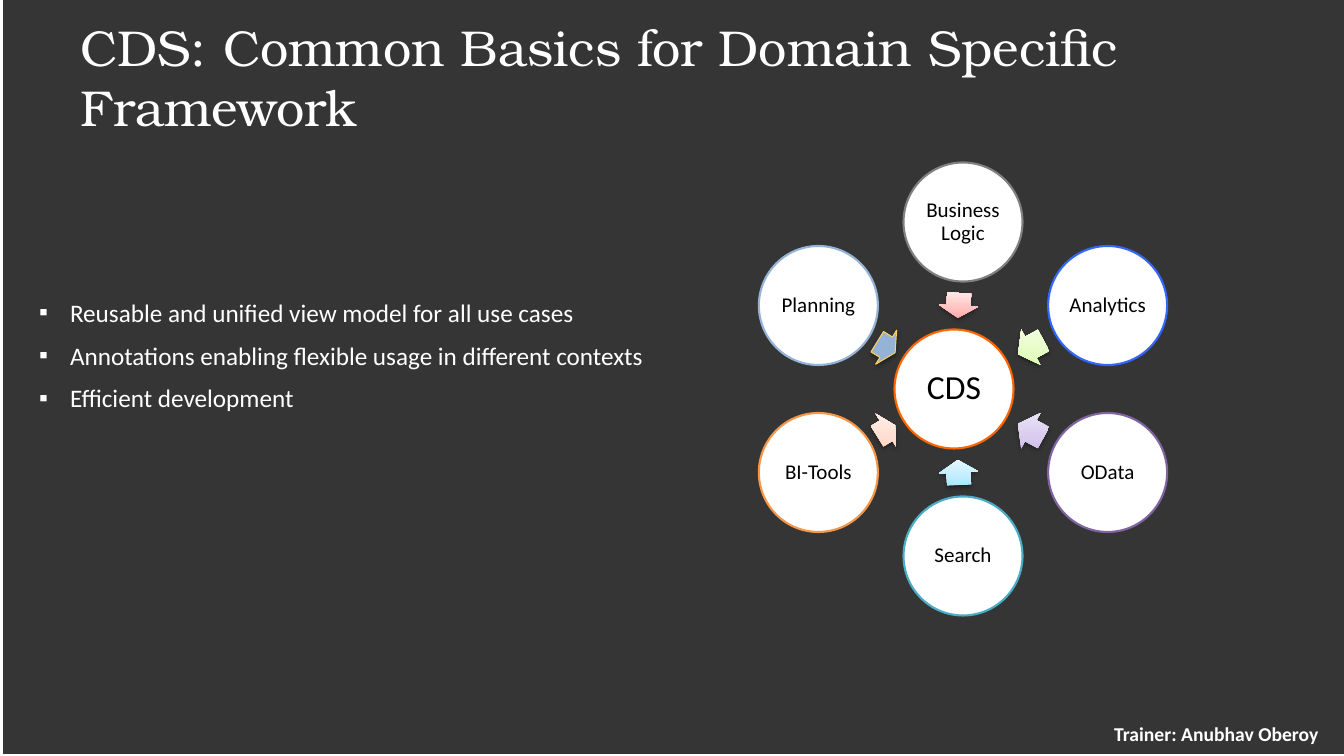
from math import atan2, cos, degrees, radians, sin

from lxml import etree
from pptx import Presentation
from pptx.dml.color import RGBColor
from pptx.enum.shapes import MSO_SHAPE
from pptx.enum.text import MSO_ANCHOR, MSO_AUTO_SIZE, PP_ALIGN
from pptx.oxml import parse_xml
from pptx.oxml.ns import nsdecls, qn
from pptx.util import Pt

OVAL, RECT, ARROW = MSO_SHAPE.OVAL, MSO_SHAPE.RECTANGLE, MSO_SHAPE.RIGHT_ARROW
MIDDLE, FIXED = MSO_ANCHOR.MIDDLE, MSO_AUTO_SIZE.NONE
LEFT, CENTER = PP_ALIGN.LEFT, PP_ALIGN.CENTER
WHITE = RGBColor(255, 255, 255)
BLACK = RGBColor(0, 0, 0)
DARK = RGBColor(0x26, 0x26, 0x26)
ORANGE = RGBColor(0xFF, 0x66, 0x00)
GRAY = RGBColor(0x80, 0x80, 0x80)
BLUE = RGBColor(0x33, 0x66, 0xFF)
PURPLE = RGBColor(0x80, 0x64, 0xA2)
TEAL = RGBColor(0x4B, 0xAC, 0xC6)
AMBER = RGBColor(0xF7, 0x96, 0x46)
STEEL = RGBColor(0x95, 0xB3, 0xD7)
GOLD = RGBColor(0xFF, 0xD0, 0x5D)
RED_FADE = [RGBColor(0xFF, 0xA6, 0xA5), RGBColor(0xFF, 0xC0, 0xBF), RGBColor(0xFF, 0xE7, 0xE7)]
GREEN_FADE = [RGBColor(0xDA, 0xFD, 0xA7), RGBColor(0xE4, 0xFC, 0xC2), RGBColor(0xF5, 0xFF, 0xE7)]
LILAC_FADE = [RGBColor(0xC9, 0xB5, 0xE8), RGBColor(0xD8, 0xCB, 0xEE), RGBColor(0xF0, 0xEA, 0xF9)]
CYAN_FADE = [RGBColor(0xA7, 0xE6, 0xFF), RGBColor(0xC1, 0xED, 0xFF), RGBColor(0xE7, 0xF8, 0xFF)]
PEACH_FADE = [RGBColor(0xFF, 0xD2, 0xBD), RGBColor(0xFF, 0xDE, 0xD0), RGBColor(0xFF, 0xF2, 0xED)]

TITLE = "CDS: Common Basics for Domain Specific Framework"
POINTS = [
    "Reusable and unified view model for all use cases",
    "Annotations enabling flexible usage in different contexts",
    "Efficient development",
]
TRAINER = "Trainer: Anubhav Oberoy"
HUB = ("CDS", ORANGE, 24)
USES = [
    ("Business Logic", GRAY, RED_FADE, 25),
    ("Analytics", BLUE, GREEN_FADE, 29),
    ("OData", PURPLE, LILAC_FADE, 29),
    ("Search", TEAL, CYAN_FADE, 25),
    ("BI-Tools", AMBER, PEACH_FADE, 21),
    ("Planning", STEEL, None, 21),
]

HUB_X, RING_X, MID_Y = 954, 963, 389
RADIUS, DISC, WING = 167, 119, 40

TITLE_FONT = {"name": "TeX Gyre Bonum", "size": Pt(36), "bold": False}
BODY_FONT = {"name": "Calibri", "size": Pt(18), "bold": False}
NOTE_FONT = {"name": "Calibri", "size": Pt(14), "bold": True}
DISC_FONT = {"name": "Calibri", "bold": False}


def px(n):
    return round(n * 914400 / 100.8)


def put(item, **form):
    for name, value in form.items():
        setattr(item, name, value)


def place(shape, x, y, wide, high):
    put(shape, left=px(x), top=px(y), width=px(wide), height=px(high))


def write(shape, lines, font, color, align, pad, **para):
    frame = shape.text_frame
    side, edge = px(pad[0]), px(pad[1])
    put(frame, text="\n".join(lines), word_wrap=True, auto_size=FIXED,
        vertical_anchor=MIDDLE, margin_left=side, margin_right=side,
        margin_top=edge, margin_bottom=edge)
    for part in frame.paragraphs:
        put(part, alignment=align, space_before=Pt(0), **para)
        for run in part.runs:
            put(run.font, **font)
            run.font.color.rgb = color


def draw(kind, x, y, wide, high, fill=None, line=None, width=1.5):
    shape = slide.shapes.add_shape(kind, px(x), px(y), px(wide), px(high))
    shape.shadow.inherit = False
    if fill is not None:
        shape.fill.solid()
        shape.fill.fore_color.rgb = fill
    if line is None:
        shape.line.fill.background()
    else:
        shape.line.color.rgb = line
        shape.line.width = Pt(width)
    return shape


def disc(x, y, label, color, size):
    shape = draw(OVAL, x - DISC / 2, y - DISC / 2, DISC, DISC, WHITE, color)
    write(shape, [label], {**DISC_FONT, "size": Pt(size)}, BLACK, CENTER, (2, 2),
          line_spacing=0.9)


def fade(shape, colors):
    stops = "".join(
        f'<a:gs pos="{at}"><a:srgbClr val="{color}"/></a:gs>'
        for at, color in zip((0, 35000, 100000), colors))
    shape.fill.background()
    old = shape._element.spPr.find(qn("a:noFill"))
    old.getparent().replace(old, parse_xml(
        f'<a:gradFill {nsdecls("a")} rotWithShape="0"><a:gsLst>{stops}</a:gsLst>'
        '<a:lin ang="16200000" scaled="0"/></a:gradFill>'))


def shade(shape):
    shape._element.spPr.find(qn("a:effectLst")).append(parse_xml(
        f'<a:outerShdw {nsdecls("a")} blurRad="{Pt(3.1)}" dist="{Pt(1.6)}" dir="5400000" '
        'rotWithShape="0"><a:srgbClr val="000000"><a:alpha val="38000"/></a:srgbClr>'
        '</a:outerShdw>'))


def arrow(x, y, colors, wide):
    mid_x, mid_y = (x + HUB_X) / 2, (y + MID_Y) / 2
    fill, line = (None, None) if colors else (STEEL, GOLD)
    shape = draw(ARROW, mid_x - wide / 2, mid_y - WING / 2, wide, WING, fill, line, 0.75)
    shape.rotation = round(degrees(atan2(MID_Y - y, HUB_X - x)), 1)
    shape.adjustments[0] = 0.6
    shape.adjustments[1] = 0.5
    if colors:
        fade(shape, colors)
    shade(shape)


deck = Presentation()
put(deck, slide_width=px(1344), slide_height=px(756))
slide = deck.slides.add_slide(deck.slide_layouts[1])
slide.background.fill.solid()
slide.background.fill.fore_color.rgb = WHITE

panel = draw(RECT, 3, -2, 1344, 756, DARK)
tint = panel._element.spPr.find(qn("a:solidFill"))[0]
etree.SubElement(tint, qn("a:alpha"), val="93000")
slide.shapes._spTree.insert(2, panel._element)

title, body = slide.placeholders
place(title, 67, 37, 1210, 79)
write(title, [TITLE], TITLE_FONT, WHITE, LEFT, (13, 7))

place(body, 29, 162, 659, 386)
write(body, POINTS, BODY_FONT, WHITE, LEFT, (10, 5), space_after=Pt(9))
for part in body.text_frame.paragraphs:
    props = part._p.get_or_add_pPr()
    props.set("marL", str(px(31)))
    props.set("indent", str(px(-31)))
    etree.SubElement(props, qn("a:buChar"), char="▪")

note = slide.shapes.add_textbox(px(1093), px(714), px(247), px(39))
write(note, [TRAINER], NOTE_FONT, WHITE, CENTER, (13, 7))

disc(HUB_X, MID_Y, *HUB)
for i, (label, color, colors, wide) in enumerate(USES):
    angle = radians(60 * i - 90)
    x, y = RING_X + RADIUS * cos(angle), MID_Y + RADIUS * sin(angle)
    arrow(x, y, colors, wide)
    disc(x, y, label, color, 15)

deck.save("out.pptx")
